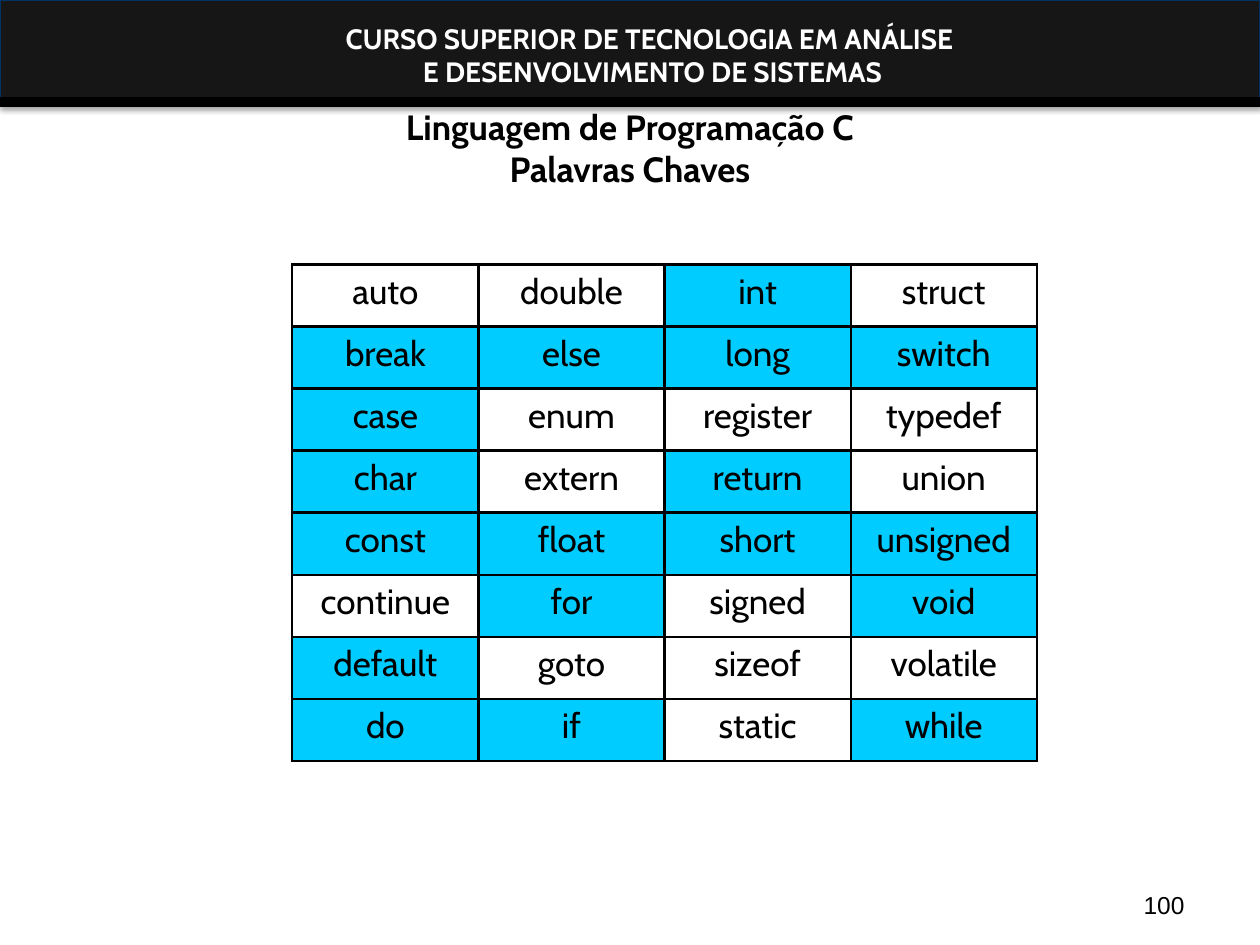
from dataclasses import dataclass
from typing import NamedTuple

import pptx
import pptx.dml.color
import pptx.enum.shapes
import pptx.enum.text
import pptx.oxml
import pptx.oxml.ns
import pptx.util

ALIGN = pptx.enum.text.PP_ALIGN
ANCHOR = pptx.enum.text.MSO_ANCHOR
WIDTH, HEIGHT = pptx.util.Inches(10), pptx.util.Inches(7.5)
SPACE = pptx.oxml.ns.nsdecls("a")


@dataclass(frozen=True)
class Theme:
    face: str = "Cabin"
    plain: str = "Arial"
    ink: str = "000000"
    paper: str = "FFFFFF"
    band: str = "161616"
    edge: str = "003264"
    mark: str = "00CCFF"
    body: int = 20
    head: int = 16
    foot: int = 14


class Area(NamedTuple):
    """Left, top, width and height as shares of the slide."""
    left: float
    top: float
    width: float
    height: float

    def box(self) -> tuple[int, ...]:
        sides = (WIDTH, HEIGHT, WIDTH, HEIGHT)
        return tuple(round(share * side) for share, side in zip(self, sides))


class Style(NamedTuple):
    size: int
    color: str
    face: str
    bold: bool = False
    align: ALIGN = ALIGN.CENTER


THEME = Theme()
WORDS = """
auto double int struct
break else long switch
case enum register typedef
char extern return union
const float short unsigned
continue for signed void
default goto sizeof volatile
do if static while
"""
GRID = [line.split() for line in WORDS.strip().splitlines()]
MARKED = set("""int break else long switch case char return const float
short unsigned for void default do if while""".split())


def rgb(code: str) -> pptx.dml.color.RGBColor:
    return pptx.dml.color.RGBColor.from_string(code)


def write(frame, text: str, style: Style) -> None:
    frame.text = text
    for line in frame.paragraphs:
        line.alignment = style.align
        for run in line.runs:
            font = run.font
            font.name, font.size = style.face, pptx.util.Pt(style.size)
            font.bold, font.color.rgb = style.bold, rgb(style.color)


def label(slide, area: Area, text: str, style: Style, anchor=ANCHOR.TOP) -> None:
    frame = slide.shapes.add_textbox(*area.box()).text_frame
    frame.word_wrap = True
    frame.vertical_anchor = anchor
    write(frame, text, style)


def banner(slide) -> None:
    kind = pptx.enum.shapes.MSO_SHAPE.RECTANGLE
    band = slide.shapes.add_shape(kind, *Area(0, 0, 1, 0.112).box())
    band.fill.solid()
    band.fill.fore_color.rgb = rgb(THEME.band)
    band.line.color.rgb = rgb(THEME.edge)
    band.line.width = pptx.util.Pt(0.75)
    blur, gap = pptx.util.Pt(3.1), pptx.util.Pt(1.8)
    band.element.spPr.append(pptx.oxml.parse_xml(
        f'<a:effectLst {SPACE}><a:outerShdw blurRad="{blur}" dist="{gap}" '
        f'dir="5400000" rotWithShape="0"><a:srgbClr val="{THEME.ink}">'
        '<a:alpha val="35000"/></a:srgbClr></a:outerShdw></a:effectLst>'))

    label(slide, Area(0.13, 0.016, 0.776, 0.085),
          "CURSO SUPERIOR DE TECNOLOGIA EM ANÁLISE \n"
          "E DESENVOLVIMENTO DE SISTEMAS",
          Style(THEME.head, THEME.paper, THEME.face, True))

    level = round(0.108 * HEIGHT)
    rule = slide.shapes.add_connector(
        pptx.enum.shapes.MSO_CONNECTOR.STRAIGHT, 0, level, WIDTH, level)
    rule.line.color.rgb = rgb(THEME.ink)
    rule.line.width = pptx.util.Pt(6)
    rule.element.spPr.append(pptx.oxml.parse_xml(f"<a:effectLst {SPACE}/>"))


def heading(slide) -> None:
    title = slide.shapes.title
    title.left, title.top, title.width, title.height = Area(
        0.05, 0.056, 0.9, 0.2).box()
    title.text_frame.vertical_anchor = ANCHOR.MIDDLE
    write(title.text_frame, "Linguagem de Programação C\vPalavras Chaves",
          Style(THEME.body, THEME.ink, THEME.face, True))
    # Bring the title in front of the banner.
    title.element.getparent().append(title.element)


def border(cell) -> None:
    props = cell._tc.get_or_add_tcPr()
    for spot, side in enumerate(("lnL", "lnR", "lnT", "lnB")):
        props.insert(spot, pptx.oxml.parse_xml(
            f'<a:{side} {SPACE} w="{pptx.util.Pt(1.5)}"><a:solidFill>'
            f'<a:srgbClr val="{THEME.ink}"/></a:solidFill></a:{side}>'))


def keywords(slide, area: Area) -> None:
    table = slide.shapes.add_table(len(GRID), len(GRID[0]), *area.box()).table
    table.first_row = table.horz_banding = False
    style = Style(THEME.body, THEME.ink, THEME.face)
    for row, words in enumerate(GRID):
        for col, word in enumerate(words):
            cell = table.cell(row, col)
            write(cell.text_frame, word, style)
            if word in MARKED:
                cell.fill.solid()
                cell.fill.fore_color.rgb = rgb(THEME.mark)
            else:
                cell.fill.background()
            border(cell)


def main() -> None:
    deck = pptx.Presentation()
    deck.slide_width, deck.slide_height = WIDTH, HEIGHT
    slide = deck.slides.add_slide(deck.slide_layouts.get_by_name("Title Only"))
    banner(slide)
    label(slide, Area(0.717, 0.91, 0.233, 0.07), "100",
          Style(THEME.foot, THEME.ink, THEME.plain, align=ALIGN.RIGHT),
          ANCHOR.BOTTOM)
    heading(slide)
    keywords(slide, Area(0.232, 0.28, 0.591, 0.525))
    deck.save("out.pptx")


if __name__ == "__main__":
    main()
